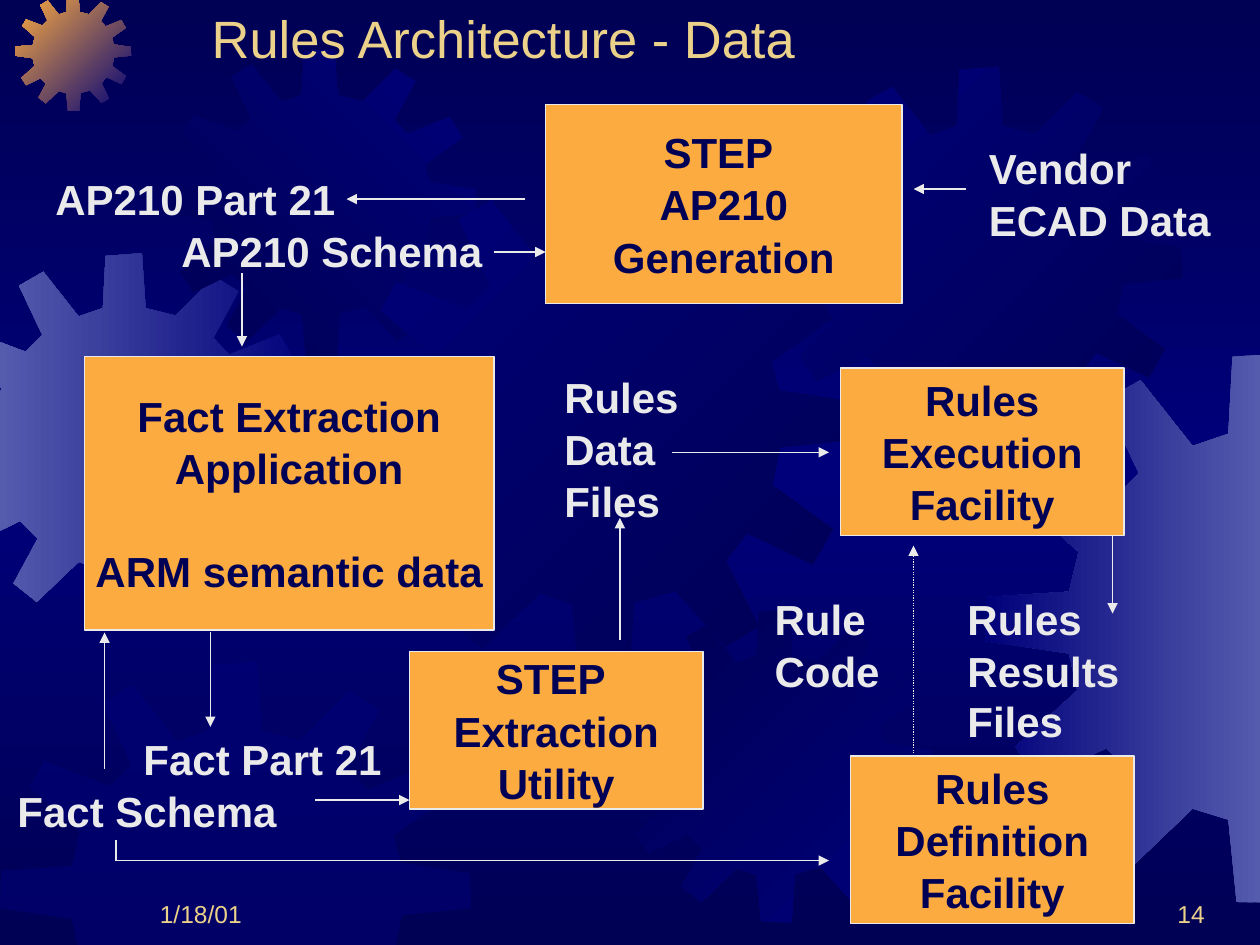
from copy import deepcopy
from typing import NamedTuple

from lxml import etree
from pptx import Presentation
from pptx import util as u
from pptx.dml.color import RGBColor
from pptx.enum import dml, shapes, text
from pptx.oxml.ns import qn

NAVY, BLUE, LILAC, ORANGE = "000054", "00007A", "555BAD", "FCAB40"
PALE, GOLD = "EAEAEA", "EBD189"
WIDTH, HEIGHT = 10, 7.5

GEAR_UNIT = 401
GEAR_OUTLINE = [
    (255, 67), (223, 59), (219, 0), (180, 3), (177, 59), (151, 68), (113, 20), (87, 35),
    (112, 88), (94, 106), (38, 85), (25, 107), (68, 145), (61, 174), (1, 178), (0, 210),
    (61, 219), (67, 246), (22, 287), (38, 312), (88, 288), (107, 307), (81, 355), (106, 375),
    (151, 332), (177, 340), (183, 400), (222, 401), (226, 339), (259, 330), (299, 374), (325, 358),
    (299, 306), (316, 284), (368, 309), (384, 281), (336, 246), (342, 216), (401, 210), (400, 180),
    (341, 171), (335, 148), (383, 114), (367, 87), (313, 109), (296, 91), (323, 41), (297, 25),
]


class Gear(NamedTuple):
    left: float
    top: float
    size: float
    start: str
    end: str
    angle: int


class Block(NamedTuple):
    left: float
    top: float
    width: float
    height: float
    lines: list[str]
    gap_line: int = -1


class Label(NamedTuple):
    left: float
    top: float
    width: float
    height: float
    lines: list[str]
    indented: int = -1


class Arrow(NamedTuple):
    x1: float
    y1: float
    x2: float
    y2: float
    head: bool = True
    dotted: bool = False


GEARS = [
    Gear(-0.49, 2.01, 2.96, BLUE, LILAC, 180),
    Gear(0.12, -0.04, 0.92, BLUE, ORANGE, 225),
    Gear(1.3, 0.39, 2.48, BLUE, NAVY, 135),
    Gear(2.77, 1.39, 4.01, NAVY, BLUE, 225),
    Gear(0, 5.25, 3.74, BLUE, "", 0),
    Gear(4.91, 4.84, 2.48, BLUE, NAVY, 225),
    Gear(6.18, 0.53, 3.2, NAVY, BLUE, 225),
    Gear(7.82, 2.8, 4.37, LILAC, BLUE, 180),
]
BLOCKS = [
    Block(4.33, 0.83, 2.83, 1.58, ["STEP ", "AP210", "Generation"]),
    Block(0.67, 2.83, 3.25, 2.17, ["Fact Extraction", "Application", "ARM semantic data"], 2),
    Block(3.25, 5.17, 2.33, 1.25, ["STEP ", "Extraction", "Utility"]),
    Block(6.67, 2.92, 2.25, 1.33, ["Rules", "Execution", "Facility"]),
    Block(6.75, 6, 2.25, 1.33, ["Rules", "Definition", "Facility"]),
]
LABELS = [
    Label(0.34, 1.33, 3.59, 0.9, ["AP210 Part 21", "AP210 Schema"], 1),
    Label(7.75, 1.08, 1.96, 0.9, ["Vendor", "ECAD Data"]),
    Label(4.38, 2.9, 1.11, 1.3, ["Rules", "Data", "Files"]),
    Label(0.04, 5.77, 3.09, 0.9, ["Fact Part 21", "Fact Schema"], 0),
    Label(6.05, 4.66, 1.03, 0.9, ["Rule", "Code"]),
    Label(7.58, 4.66, 2.25, 0.9, ["Rules", "Results Files"]),
]
ARROWS = [
    Arrow(4.17, 1.58, 2.75, 1.58),
    Arrow(3.92, 2, 4.33, 2),
    Arrow(7.67, 1.5, 7.25, 1.5),
    Arrow(1.92, 2.17, 1.92, 2.75),
    Arrow(5.33, 3.59, 6.58, 3.59),
    Arrow(8.83, 4.25, 8.83, 4.87),
    Arrow(4.92, 5.08, 4.92, 4.11),
    Arrow(1.67, 5.02, 1.67, 5.77),
    Arrow(0.83, 6.1, 0.83, 5.02),
    Arrow(2.5, 6.35, 3.25, 6.35),
    Arrow(0.92, 6.67, 0.92, 6.83, head=False),
    Arrow(0.92, 6.83, 6.58, 6.83),
    Arrow(7.25, 6, 7.25, 4.33, dotted=True),
]


def rgb(color: str) -> RGBColor:
    return RGBColor.from_string(color)


def set_gradient(fill, start: str, end: str, angle: int) -> None:
    fill.gradient()
    fill.gradient_angle = 360 - angle
    for stop, color in zip(fill.gradient_stops, (start, end)):
        stop.color.rgb = rgb(color)


def set_background(s) -> None:
    set_gradient(s.background.fill, NAVY, BLUE, 90)
    stops = s._element.xpath(".//p:bg//a:gsLst")[0]
    last = deepcopy(stops[0])
    stops[1].set("pos", "50000")
    last.set("pos", "100000")
    stops.append(last)


def clip(points: list, axis: int, limit: float, sign: int) -> list:
    kept = []
    for a, b in zip(points[-1:] + points[:-1], points):
        da, db = sign * (a[axis] - limit), sign * (b[axis] - limit)
        if da * db < 0:
            t = da / (da - db)
            kept.append(tuple(m + t * (n - m) for m, n in zip(a, b)))
        if db >= 0:
            kept.append(b)
    return kept


def draw_gear(s, gear: Gear) -> None:
    scale = gear.size / GEAR_UNIT
    points = [(gear.left + x * scale, gear.top + y * scale) for x, y in GEAR_OUTLINE]
    for axis, limit in enumerate((WIDTH, HEIGHT)):
        points = clip(clip(points, axis, 0, 1), axis, limit, -1)
    outline = [(u.Inches(x), u.Inches(y)) for x, y in points]
    builder = s.shapes.build_freeform(*outline[0], scale=1.0)
    builder.add_line_segments(outline[1:], close=True)
    sp = builder.convert_to_shape()
    sp.shadow.inherit = False
    sp.line.fill.background()
    if gear.end:
        set_gradient(sp.fill, gear.start, gear.end, gear.angle)
    else:
        sp.fill.solid()
        sp.fill.fore_color.rgb = rgb(gear.start)
        color = sp._element.spPr.find(f"{qn('a:solidFill')}/{qn('a:srgbClr')}")
        etree.SubElement(color, qn("a:alpha"), val="50000")


def write(tf, lines: list[str], size: int, color: str, bold: bool, align) -> None:
    tf.text = "\n".join(lines)
    for i, p in enumerate(tf.paragraphs):
        p.alignment = align
        p.space_before = u.Pt(1 if i else 0)
        for r in p.runs:
            r.font.name, r.font.size, r.font.bold = "Arial", u.Pt(size), bold
            r.font.color.rgb = rgb(color)


def draw_block(s, block: Block) -> None:
    sp = s.shapes.add_shape(shapes.MSO_SHAPE.RECTANGLE, *map(u.Inches, block[:4]))
    sp.shadow.inherit = False
    sp.fill.solid()
    sp.fill.fore_color.rgb = rgb(ORANGE)
    sp.line.color.rgb, sp.line.width = rgb(PALE), u.Pt(0.75)
    tf = sp.text_frame
    tf.word_wrap, tf.vertical_anchor = False, text.MSO_ANCHOR.MIDDLE
    write(tf, block.lines, 24, NAVY, True, text.PP_ALIGN.CENTER)
    if block.gap_line >= 0:
        tf.paragraphs[block.gap_line].space_before = u.Pt(30)


def draw_label(s, label: Label) -> None:
    tf = s.shapes.add_textbox(*map(u.Inches, label[:4])).text_frame
    tf.word_wrap, tf.auto_size = False, text.MSO_AUTO_SIZE.SHAPE_TO_FIT_TEXT
    write(tf, label.lines, 24, PALE, True, text.PP_ALIGN.LEFT)
    if label.indented >= 0:
        p = tf.paragraphs[label.indented]
        p._p.get_or_add_pPr().set("marL", str(u.Inches(1)))


def draw_arrow(s, arrow: Arrow) -> None:
    c = s.shapes.add_connector(shapes.MSO_CONNECTOR.STRAIGHT, *map(u.Inches, arrow[:4]))
    c.line.color.rgb, c.line.width = rgb(PALE), u.Pt(0.75)
    if arrow.dotted:
        c.line.dash_style = dml.MSO_LINE.ROUND_DOT
    if arrow.head:
        etree.SubElement(c.line._get_or_add_ln(), qn("a:tailEnd"), type="triangle")
    etree.SubElement(c._element.spPr, qn("a:effectLst"))


def draw_footer(s, left: float, content: str, align) -> None:
    tf = s.shapes.add_textbox(*map(u.Inches, (left, 6.92, 2.08, 0.5))).text_frame
    tf.word_wrap, tf.vertical_anchor = True, text.MSO_ANCHOR.BOTTOM
    write(tf, [content], 14, GOLD, False, align)


def main() -> None:
    prs = Presentation()
    prs.slide_width, prs.slide_height = u.Inches(WIDTH), u.Inches(HEIGHT)
    s = prs.slides.add_slide(prs.slide_layouts[5])
    set_background(s)
    for gear in GEARS:
        draw_gear(s, gear)
    title = s.shapes.title
    s.shapes._spTree.append(title._element)
    title.left, title.top, title.width, title.height = map(u.Inches, (1.58, 0, 8.33, 1.25))
    title.text_frame.vertical_anchor = text.MSO_ANCHOR.TOP
    write(title.text_frame, ["Rules Architecture - Data"], 30, GOLD, False, text.PP_ALIGN.LEFT)
    for draw, items in ((draw_block, BLOCKS), (draw_label, LABELS), (draw_arrow, ARROWS)):
        for item in items:
            draw(s, item)
    draw_footer(s, 1.17, "1/18/01", text.PP_ALIGN.LEFT)
    draw_footer(s, 7.58, "14", text.PP_ALIGN.RIGHT)
    prs.save("out.pptx")


if __name__ == "__main__":
    main()
